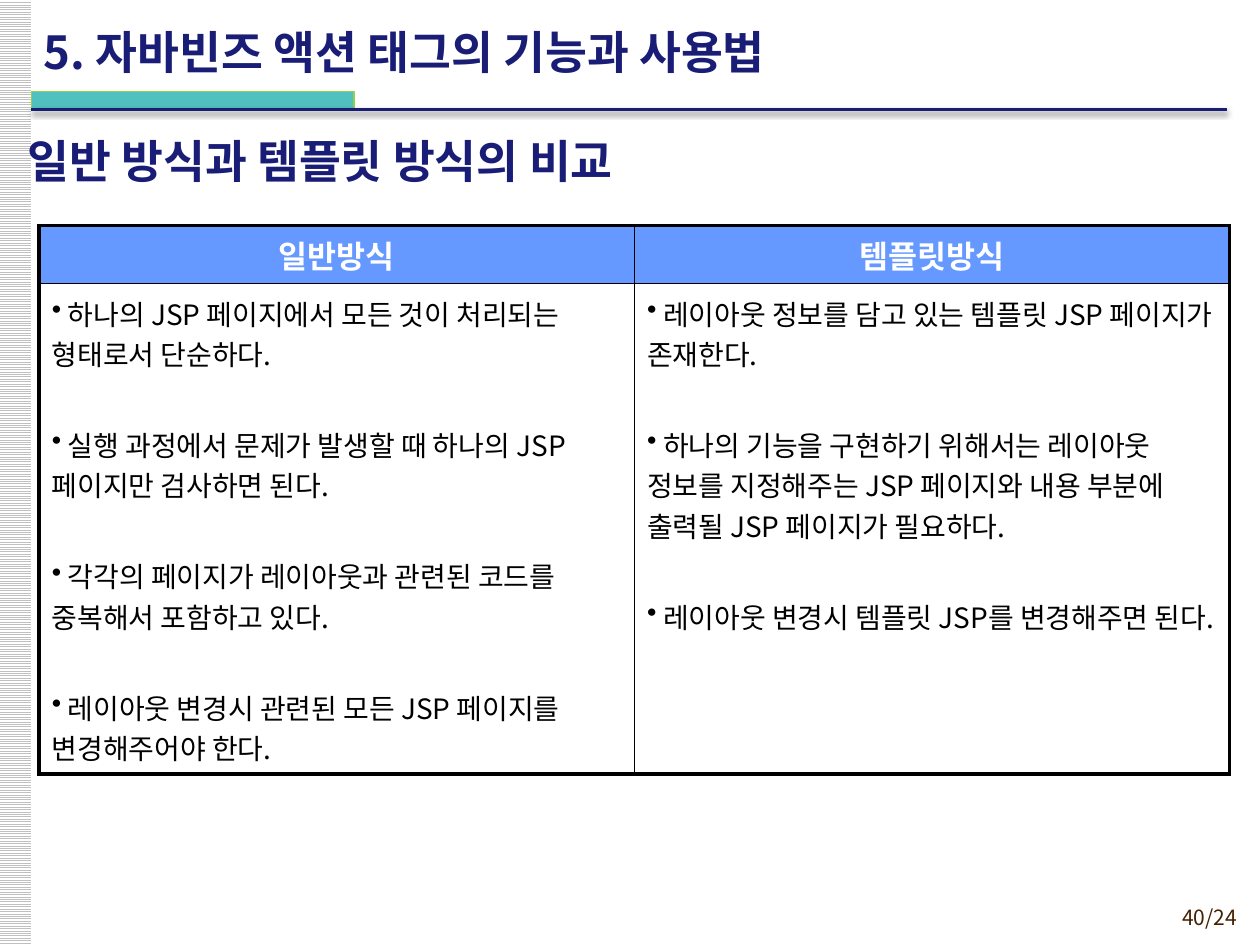
from lxml import etree
from pptx import Presentation
from pptx.dml.color import RGBColor
from pptx.enum.dml import MSO_PATTERN
from pptx.enum.shapes import MSO_CONNECTOR, MSO_SHAPE
from pptx.enum.text import MSO_ANCHOR, PP_ALIGN
from pptx.oxml import parse_xml
from pptx.oxml.ns import nsdecls, qn
from pptx.util import Cm, Pt

FONT = "Noto Sans CJK KR"
COLORS = {
    "title": "191D76", "rule": "191E70", "teal": "50C1BE", "lime": "92D050",
    "stripe": "C0C0C0", "white": "FFFFFF", "black": "000000",
    "header": "6699FF", "page": "452103",
}
COLUMNS = [
    ("일반방식", [
        "하나의 JSP 페이지에서 모든 것이 처리되는 형태로서 단순하다.",
        "실행 과정에서 문제가 발생할 때 하나의 JSP 페이지만 검사하면 된다.",
        "각각의 페이지가 레이아웃과 관련된 코드를 중복해서 포함하고 있다.",
        "레이아웃 변경시 관련된 모든 JSP 페이지를 변경해주어야 한다.",
    ]),
    ("템플릿방식", [
        "레이아웃 정보를 담고 있는 템플릿 JSP 페이지가 존재한다.",
        "하나의 기능을 구현하기 위해서는 레이아웃 정보를 지정해주는 JSP 페이지와 "
        "내용 부분에 출력될 JSP 페이지가 필요하다.",
        "레이아웃 변경시 템플릿 JSP를 변경해주면 된다.",
    ]),
]


def rgb(name):
    return RGBColor.from_string(COLORS[name])


def style_runs(p, size, color, bold=False):
    for r in p.runs:
        r.font.size, r.font.bold, r.font.name = Pt(size), bold, FONT
        r.font.color.rgb = rgb(color)
        etree.SubElement(r.font._element, qn("a:ea"), typeface=FONT)


def add_text(s, box, text, size, color, bold=False, align=PP_ALIGN.LEFT):
    tf = s.shapes.add_textbox(*map(Cm, box)).text_frame
    tf.word_wrap = True
    tf.vertical_anchor = MSO_ANCHOR.MIDDLE
    tf.text = text
    p = tf.paragraphs[0]
    p.alignment = align
    style_runs(p, size, color, bold)


def add_stripe(s, box):
    sp = s.shapes.add_shape(MSO_SHAPE.RECTANGLE, *map(Cm, box))
    sp.shadow.inherit = False
    sp.fill.patterned()
    sp.fill.pattern = MSO_PATTERN.LIGHT_HORIZONTAL
    sp.fill.fore_color.rgb = rgb("stripe")
    sp.fill.back_color.rgb = rgb("white")
    sp.line.fill.background()


def add_rule(s, box):
    x, y, w, h = box
    bar = s.shapes.add_shape(MSO_SHAPE.RECTANGLE, Cm(x), Cm(y), Cm(w * 0.27), Cm(h))
    bar.shadow.inherit = False
    bar.fill.solid()
    bar.fill.fore_color.rgb = rgb("teal")
    bar.line.color.rgb = rgb("lime")
    bar.line.width = Pt(0.75)
    line = s.shapes.add_connector(
        MSO_CONNECTOR.STRAIGHT, Cm(x), Cm(y + h), Cm(x + w), Cm(y + h))
    line.line.color.rgb = rgb("rule")
    line.line.width = Pt(2)
    line._element.spPr.append(parse_xml(
        f'<a:effectLst {nsdecls("a")}><a:outerShdw blurRad="{Pt(3.1)}" '
        f'dist="{Pt(1.6)}" dir="5400000" rotWithShape="0">'
        f'<a:srgbClr val="{COLORS["black"]}"><a:alpha val="38000"/></a:srgbClr>'
        '</a:outerShdw></a:effectLst>'))


def set_borders(cell, row, col):
    outer = {"L": col == 0, "R": col == 1, "T": row == 0, "B": row == 1}
    tc_pr = cell._tc.get_or_add_tcPr()
    for i, (side, thick) in enumerate(outer.items()):
        tc_pr.insert(i, parse_xml(
            f'<a:ln{side} {nsdecls("a")} w="{Pt(2.25 if thick else 1)}"><a:solidFill>'
            f'<a:srgbClr val="{COLORS["black"]}"/></a:solidFill></a:ln{side}>'))


def fill_header(cell, text):
    cell.fill.solid()
    cell.fill.fore_color.rgb = rgb("header")
    cell.vertical_anchor = MSO_ANCHOR.MIDDLE
    cell.text = text
    p = cell.text_frame.paragraphs[0]
    p.alignment = PP_ALIGN.CENTER
    style_runs(p, 18, "white", True)


def fill_body(cell, items):
    cell.fill.background()
    cell.margin_top = Cm(0.18)
    tf = cell.text_frame
    for i, item in enumerate(items):
        p = tf.add_paragraph() if i else tf.paragraphs[0]
        p.text = f" {item}"
        if i:
            p.space_before = Pt(29)
        p_pr = p._p.get_or_add_pPr()
        p_pr.set("marL", "0")
        p_pr.set("indent", "0")
        etree.SubElement(p_pr, qn("a:buChar"), char="•")
        style_runs(p, 16, "black")


def add_comparison(s, box, header_height):
    x, y, w, h = map(Cm, box)
    table = s.shapes.add_table(2, len(COLUMNS), x, y, w, h).table
    table.horz_banding = table.first_row = False
    table.rows[0].height = Cm(header_height)
    table.rows[1].height = h - Cm(header_height)
    for col, (heading, items) in enumerate(COLUMNS):
        fill_header(table.cell(0, col), heading)
        fill_body(table.cell(1, col), items)
        for row in range(2):
            set_borders(table.cell(row, col), row, col)


def main():
    prs = Presentation()
    prs.slide_width, prs.slide_height = Cm(25.4), Cm(19.05)
    s = prs.slides.add_slide(prs.slide_layouts[6])
    add_stripe(s, (-0.03, 0, 0.66, 19.05))
    add_text(s, (22.5, 18.11, 2.69, 0.74), "40/24", 12, "page", align=PP_ALIGN.RIGHT)
    add_rule(s, (0.63, 1.85, 24.1, 0.36))
    add_text(s, (0.63, 0.23, 21, 1.6), "5. 자바빈즈 액션 태그의 기능과 사용법", 26, "title", True)
    add_text(s, (0.3, 2.34, 23.1, 1.8), "일반 방식과 템플릿 방식의 비교", 26, "title", True)
    add_comparison(s, (0.79, 4.55, 24, 11.05), 1.17)
    prs.save("out.pptx")


if __name__ == "__main__":
    main()
